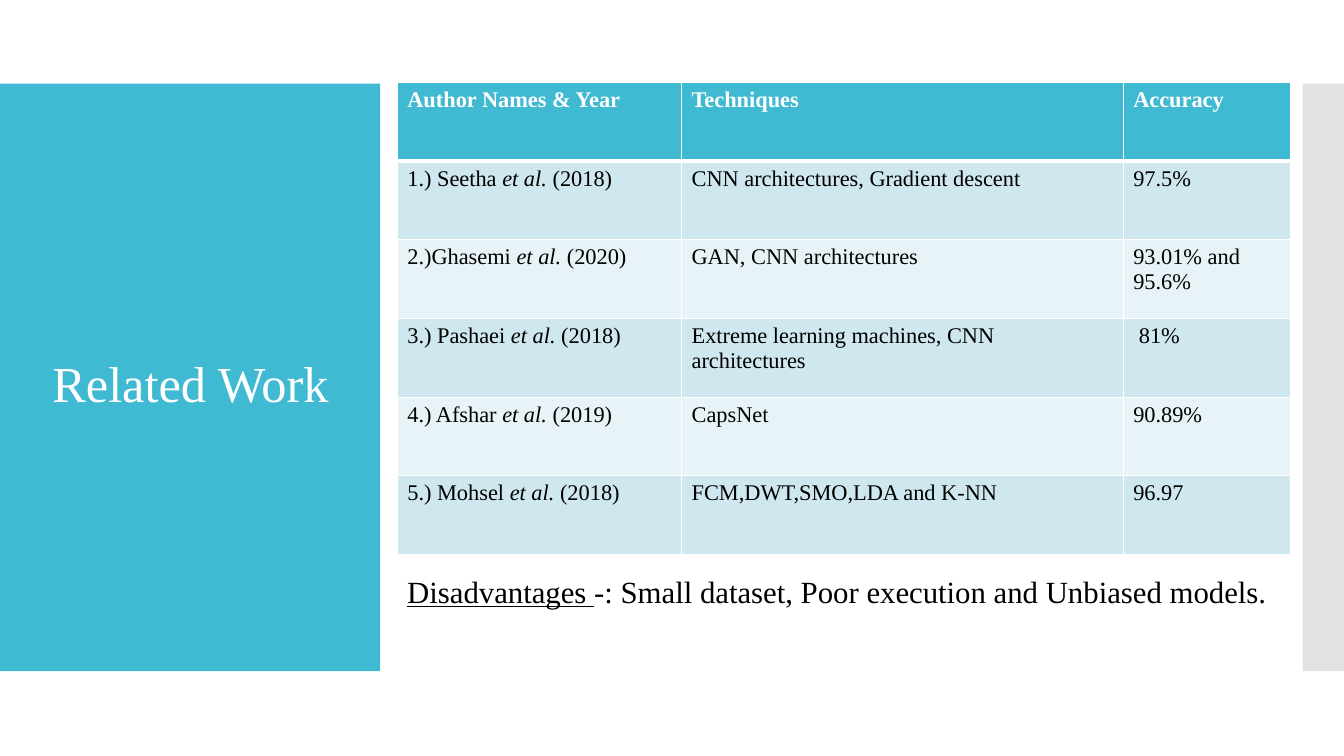
from lxml import etree
from pptx import Presentation
from pptx.dml.color import RGBColor
from pptx.enum.shapes import MSO_SHAPE
from pptx.enum.text import MSO_ANCHOR, PP_ALIGN
from pptx.oxml.ns import qn
from pptx.util import Inches, Pt

RECTANGLE = MSO_SHAPE.RECTANGLE
MIDDLE = MSO_ANCHOR.MIDDLE
CENTER = PP_ALIGN.CENTER
LEFT = PP_ALIGN.LEFT

COLORS = {
    "teal": "40BAD2",
    "gray": "C8C8C8",
    "white": "FFFFFF",
    "black": "000000",
    "band_dark": "CFE7EE",
    "band_light": "E8F3F7",
}
HEADER = ["Author Names & Year", "Techniques", "Accuracy"]
STUDIES = [
    (("1.) Seetha ", "et al. ", "(2018)"), "CNN architectures, Gradient descent", "97.5%"),
    (("2.)Ghasemi ", "et al. ", "(2020)"), "GAN, CNN architectures", "93.01% and 95.6%"),
    (("3.) Pashaei ", "et al.", " (2018)"), "Extreme learning machines, CNN architectures", " 81%"),
    (("4.) Afshar ", "et al. ", "(2019)"), "CapsNet", "90.89%"),
    (("5.) Mohsel ", "et al. ", "(2018)"), "FCM,DWT,SMO,LDA and K-NN", "96.97"),
]
COLUMN_WIDTHS = [2.82, 4.38, 1.66]
ROW_HEIGHT = 0.78


class SlideBuilder:
    def __init__(self, page, font):
        self.page = page
        self.font = font

    def color(self, name):
        return RGBColor.from_string(COLORS[name])

    def paint(self, target, name):
        target.fill.solid()
        target.fill.fore_color.rgb = self.color(name)

    def add_spans(self, para, spans, size, color, align=LEFT):
        para.alignment = align
        for text, extra in spans:
            span = para.add_run()
            span.text = text
            formats = {"name": self.font, "size": Pt(size), **extra}
            for key, value in formats.items():
                setattr(span.font, key, value)
            span.font.color.rgb = self.color(color)

    def panel(self, area, color, opacity=100):
        box = self.page.shapes.add_shape(RECTANGLE, *map(Inches, area))
        box.shadow.inherit = False
        self.paint(box, color)
        box.line.fill.background()
        if opacity < 100:
            shade = box.element.spPr.find(qn("a:solidFill"))[0]
            etree.SubElement(shade, qn("a:alpha"), val=str(opacity * 1000))
        return box

    def title(self, area, text):
        box = self.panel(area, "teal")
        box.line.color.rgb = self.color("teal")
        box.line.width = Pt(0.85)
        box.text_frame.word_wrap = True
        box.text_frame.vertical_anchor = MIDDLE
        self.add_spans(box.text_frame.paragraphs[0], [(text, {})], 36, "white", CENTER)

    def note(self, area, spans):
        box = self.page.shapes.add_textbox(*map(Inches, area))
        box.text_frame.word_wrap = True
        para = box.text_frame.paragraphs[0]
        para.line_spacing = 0.9
        self.add_spans(para, spans, 22, "black")

    def borders(self, cell, widths):
        properties = cell._tc.get_or_add_tcPr()
        for side, width in widths.items():
            line = etree.SubElement(properties, qn(f"a:ln{side}"), w=str(Pt(width)))
            fill = etree.SubElement(line, qn("a:solidFill"))
            etree.SubElement(fill, qn("a:srgbClr"), val=COLORS["white"])

    def table(self, left, top, rows):
        frame = self.page.shapes.add_table(
            len(rows), len(COLUMN_WIDTHS), Inches(left), Inches(top),
            Inches(sum(COLUMN_WIDTHS)), Inches(ROW_HEIGHT * len(rows)))
        grid = frame.table
        for column, width in zip(grid.columns, COLUMN_WIDTHS):
            column.width = Inches(width)
        for row_index, values in enumerate(rows):
            grid.rows[row_index].height = Inches(ROW_HEIGHT)
            heading = row_index == 0
            band = "teal" if heading else ("band_light", "band_dark")[row_index % 2]
            for column_index, value in enumerate(values):
                cell = grid.cell(row_index, column_index)
                self.borders(cell, {"L": 1, "R": 1, "T": 3 if row_index == 1 else 1,
                                    "B": 3 if heading else 1})
                self.paint(cell, band)
                parts = (value,) if isinstance(value, str) else value
                spans = [(part, {"bold": heading, "italic": index == 1})
                         for index, part in enumerate(parts)]
                self.add_spans(cell.text_frame.paragraphs[0], spans, 16,
                               "white" if heading else "black")


def main():
    deck = Presentation()
    deck.slide_width = Inches(13.33)
    deck.slide_height = Inches(7.5)
    page = deck.slides.add_slide(deck.slide_layouts[6])
    builder = SlideBuilder(page, "Times New Roman")
    builder.panel((0, 0.83, 3.77, 5.83), "teal")
    builder.panel((12.92, 0.83, 0.41, 5.83), "gray", opacity=50)
    builder.note((3.94, 5.67, 8.82, 1), [
        ("Disadvantages ", {"underline": True}),
        ("-: Small dataset, Poor execution and Unbiased models.", {}),
    ])
    builder.title((0.23, 2.6, 3.32, 2.38), "Related Work")
    builder.table(3.94, 0.82, [HEADER, *STUDIES])
    deck.save("out.pptx")


if __name__ == "__main__":
    main()
